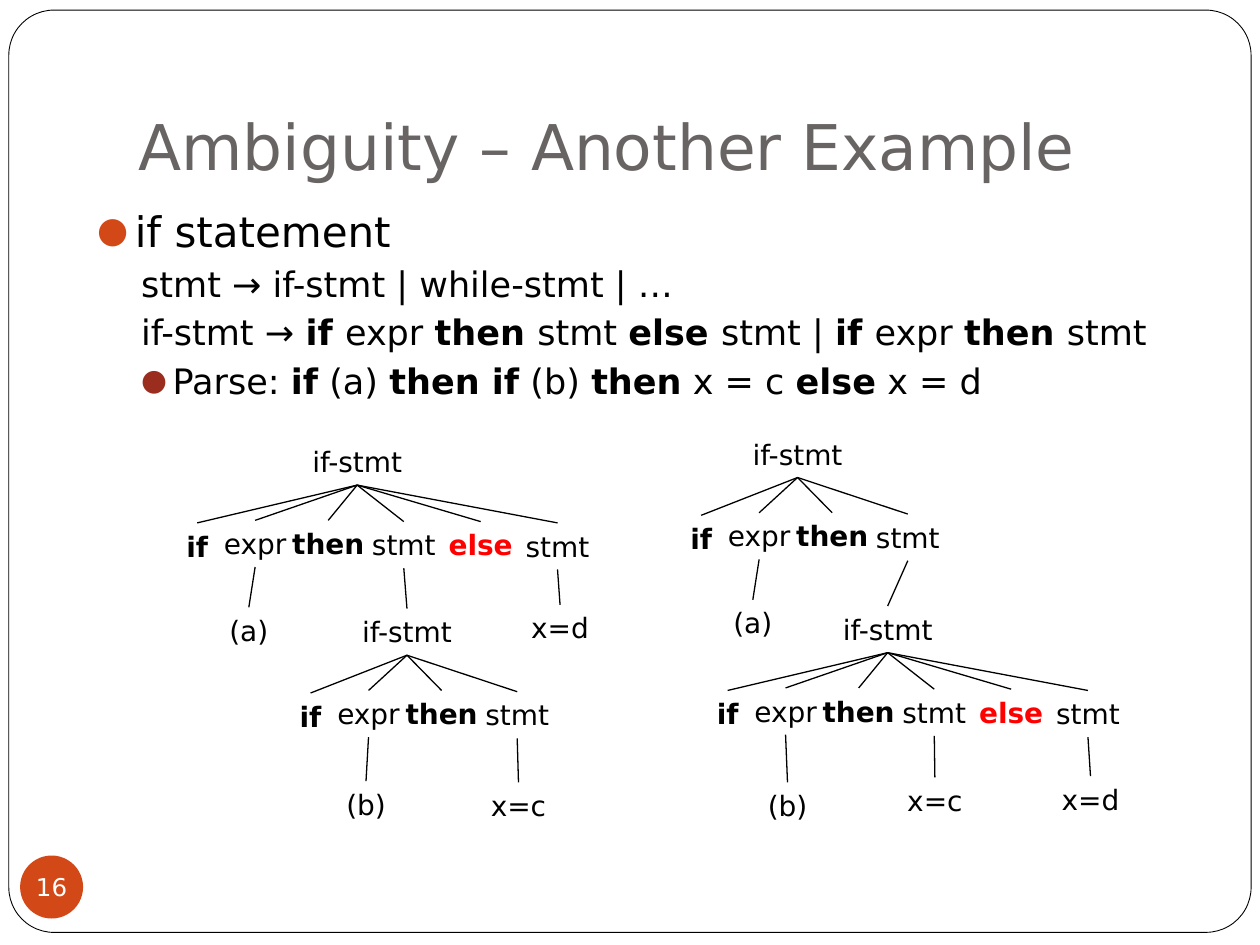
import pptx
import pptx.dml.color
import pptx.enum.shapes
import pptx.enum.text
import pptx.oxml
import pptx.oxml.ns
import pptx.util

FONT = "DejaVu Sans"
KINDS = pptx.enum.shapes.MSO_SHAPE
ALIGN = pptx.enum.text.PP_ALIGN
ANCHOR = pptx.enum.text.MSO_ANCHOR
FIT = pptx.enum.text.MSO_AUTO_SIZE

# The slide is a grid of 1000 columns by 750 rows; boxes are
# (left, top, width, height) in these units.
COLS, ROWS = 1000, 750
CELL = pptx.util.Inches(10) // COLS

# Words of an if-stmt: text, left and top inside the tree, width, bold, colour
WORDS = [
    ("if", 0, 67, 37, True, "000000"),
    ("expr", 29.5, 65, 70, False, "000000"),
    ("then", 84, 65, 77, True, "000000"),
    ("stmt", 147, 66, 71, False, "000000"),
    ("else", 208, 66, 71, True, "FF0000"),
    ("stmt", 269, 67, 71, False, "000000"),
]
ROOT, HIGH = 95, 37
WIDE = {"(a)": 54, "(b)": 55, "x=c": 64, "x=d": 66}


def color(text):
    return pptx.dml.color.RGBColor.from_string(text)


def grid(*vals):
    return [round(val * CELL) for val in vals]


def place(shape, box):
    shape.left, shape.top, shape.width, shape.height = grid(*box)


def add_run(para, text, size, ink="000000", bold=False):
    run = para.add_run()
    run.text = text
    run.font.name = FONT
    run.font.size = pptx.util.Pt(size)
    run.font.bold = bold
    run.font.color.rgb = color(ink)


def add_form(slide, kind, box, fill):
    form = slide.shapes.add_shape(kind, *grid(*box))
    form.shadow.inherit = False
    form.fill.solid()
    form.fill.fore_color.rgb = color(fill)
    return form


def add_frame(slide, box):
    frame = add_form(slide, KINDS.ROUNDED_RECTANGLE, box, "FFFFFF")
    frame.adjustments[0] = 0.049
    frame.line.color.rgb = color("000000")
    frame.line.width = pptx.util.Pt(0.5)
    # Behind the placeholders
    slide.shapes._spTree.insert(2, frame._element)


def add_title(slide, box, text):
    title = slide.shapes.title
    place(title, box)
    frame = title.text_frame
    frame.auto_size = FIT.NONE
    frame.vertical_anchor = ANCHOR.BOTTOM
    frame.margin_bottom = pptx.util.Inches(0.1)
    para = frame.paragraphs[0]
    para.alignment = ALIGN.LEFT
    add_run(para, text, 36, "696464")


def set_mark(para, left, hang, ink):
    """Indent a paragraph and give it a bullet in ink, or none."""
    props = para._p.get_or_add_pPr()
    props.set("marL", str(pptx.util.Inches(left)))
    props.set("indent", str(-pptx.util.Inches(hang)))
    parts = ["<a:buNone {}/>"]
    if ink:
        parts = [
            f'<a:buClr {{}}><a:srgbClr val="{ink}"/></a:buClr>',
            '<a:buSzPct {} val="85000"/>',
            f'<a:buFont {{}} typeface="{FONT}"/>',
            '<a:buChar {} char="●"/>',
        ]
    for part in parts:
        xml = part.format(pptx.oxml.ns.nsdecls("a"))
        props.append(pptx.oxml.parse_xml(xml))


def add_body(slide, box, lines):
    body = slide.placeholders[1]
    place(body, box)
    frame = body.text_frame
    frame.auto_size = FIT.NONE
    for num, (level, ink, runs) in enumerate(lines):
        para = frame.add_paragraph() if num else frame.paragraphs[0]
        para.level = level
        para.alignment = ALIGN.LEFT
        para.space_before = pptx.util.Pt(3.7 if level else 5.8)
        set_mark(para, 0.6 if level else 0.3, 0.25 if level else 0.3, ink)
        # Plain and bold runs take turns
        for turn, text in enumerate(runs):
            add_run(para, text, 20 if level else 24, bold=turn % 2 == 1)


def add_node(slide, box, text, bold=False, ink="000000"):
    node = slide.shapes.add_textbox(*grid(*box))
    frame = node.text_frame
    frame.word_wrap = False
    frame.auto_size = FIT.SHAPE_TO_FIT_TEXT
    para = frame.paragraphs[0]
    para.alignment = ALIGN.CENTER
    add_run(para, text, 16, ink, bold)
    return node


def join(slide, upper, lower):
    kind = pptx.enum.shapes.MSO_CONNECTOR.STRAIGHT
    line = slide.shapes.add_connector(kind, 0, 0, 0, 0)
    line.begin_connect(upper, 2)
    line.end_connect(lower, 0)
    line.line.color.rgb = color("000000")
    line.line.width = pptx.util.Pt(0.75)
    props = line._element.spPr
    props.append(pptx.oxml.parse_xml(
        f'<a:effectLst {pptx.oxml.ns.nsdecls("a")}/>'))


def add_tree(slide, left, top, count, leaves):
    """Draw an if-stmt of count words; return its root and word nodes.

    Each leaf is (word index, text, shift from word centre, drop from top).
    """
    start = 98 if count == len(WORDS) else 47.5
    root = add_node(slide, (left + start, top, ROOT, HIGH), "if-stmt")
    nodes = []
    for text, col, row, wide, bold, ink in WORDS[:count]:
        box = (left + col, top + row, wide, HIGH)
        nodes.append(add_node(slide, box, text, bold, ink))
        join(slide, root, nodes[-1])
    for index, text, shift, drop in leaves:
        _, col, _, wide, _, _ = WORDS[index]
        mid = left + col + wide / 2 + shift
        box = (mid - WIDE[text] / 2, top + drop, WIDE[text], HIGH)
        join(slide, nodes[index], add_node(slide, box, text))
    return root, nodes


def add_badge(slide, box, text):
    badge = add_form(slide, KINDS.OVAL, box, "D34817")
    badge.line.fill.background()
    frame = badge.text_frame
    frame.word_wrap = False
    frame.margin_left = frame.margin_right = 0
    frame.margin_top = frame.margin_bottom = 0
    frame.vertical_anchor = ANCHOR.MIDDLE
    para = frame.paragraphs[0]
    para.alignment = ALIGN.CENTER
    add_run(para, text, 14, "FFFFFF")


def main():
    deck = pptx.Presentation()
    deck.slide_width, deck.slide_height = grid(COLS, ROWS)
    slide = deck.slides.add_slide(deck.slide_layouts[1])

    # Frame, title and grammar
    add_frame(slide, (7, 8, 986, 732))
    add_title(slide, (100, 30, 850, 125), "Ambiguity – Another Example")
    add_body(slide, (67, 158, 883, 500), [
        (0, "D34817", ["if statement"]),
        (1, None, ["stmt → if-stmt | while-stmt | …"]),
        (1, None, ["if-stmt → ", "if ", "expr ", "then ", "stmt ", "else ",
                   "stmt | ", "if ", "expr ", "then ", "stmt"]),
        (1, "9B2D1F", ["Parse: ", "if", " (a) ", "then if", " (b) ", "then",
                       " x = c ", "else", " x = d"]),
    ])

    # Left parse: else belongs to the outer if
    _, outer = add_tree(slide, 138, 348, 6,
                        [(1, "(a)", -5, 134), (5, "x=d", 2, 132)])
    inner, _ = add_tree(slide, 228, 483, 4,
                        [(1, "(b)", -2, 137), (3, "x=c", 1, 138)])
    join(slide, outer[3], inner)

    # Right parse: else belongs to the inner if
    _, outer = add_tree(slide, 538, 342, 4, [(1, "(a)", -5, 134)])
    inner, _ = add_tree(slide, 559, 481, 6, [
        (1, "(b)", 1.5, 140), (3, "x=c", 0.5, 136), (5, "x=d", 2, 135)])
    join(slide, outer[3], inner)

    add_badge(slide, (16, 679, 50, 50), "16")
    deck.save("out.pptx")


if __name__ == "__main__":
    main()
